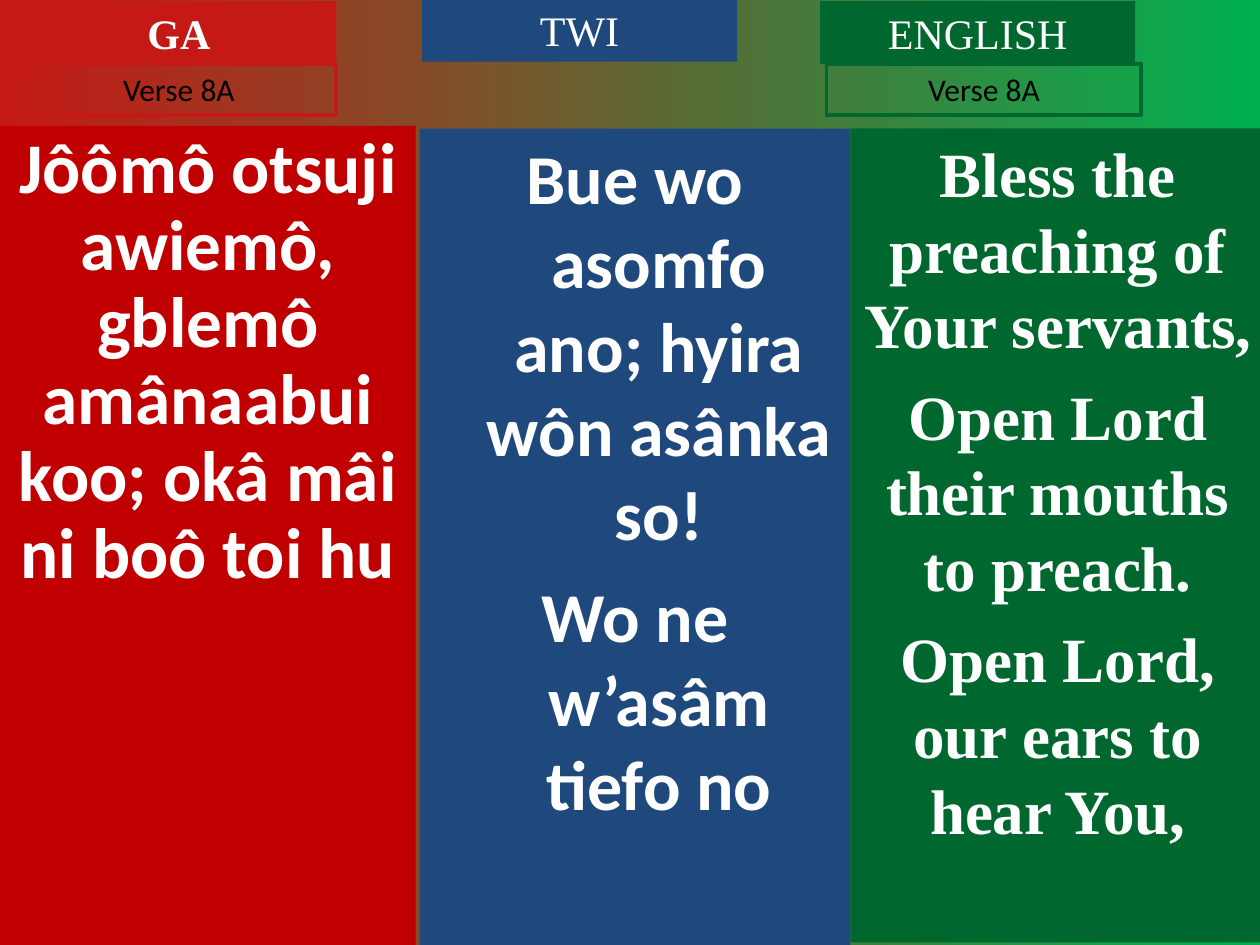
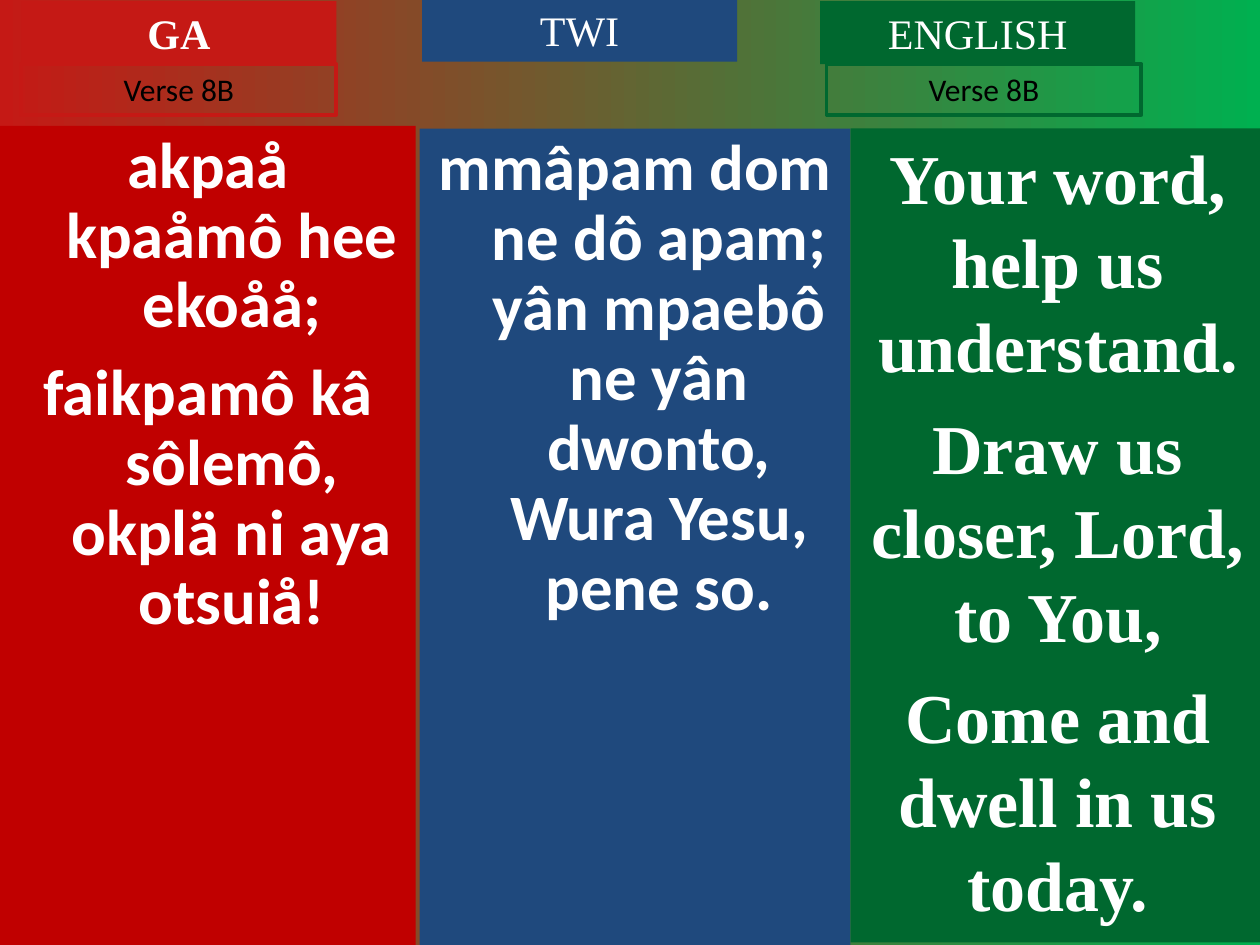
import pptx
import pptx.util
import pptx.dml.color
import pptx.enum.shapes
import pptx.enum.text

Inches, Pt = pptx.util.Inches, pptx.util.Pt
RGBColor = pptx.dml.color.RGBColor
AutoSize = pptx.enum.text.MSO_AUTO_SIZE

# Colours and fonts
BRIGHT_RED = RGBColor(0xC5, 0x19, 0x15)
BRIGHT_GREEN = RGBColor(0x00, 0xB0, 0x50)
RED = RGBColor(0xC0, 0x00, 0x00)
BLUE = RGBColor(0x1F, 0x49, 0x7D)
GREEN = RGBColor(0x00, 0x68, 0x2F)
WHITE = RGBColor(0xFF, 0xFF, 0xFF)
BLACK = RGBColor(0x00, 0x00, 0x00)
SANS, SERIF = "Calibri", "Times New Roman"
HANGING = 0.38

# Language columns: boxes are left, top, width, height in inches
COLUMNS = {
    "GA": {"panel": (0, 1, 3.3, 6.5), "fill": RED, "font": SANS,
           "title": (0.17, 0.01, 2.5, 0.5), "title_fill": BRIGHT_RED,
           "title_bold": True, "verse": (0.17, 0.51, 2.5, 0.4)},
    "TWI": {"panel": (3.33, 1.02, 3.42, 6.48), "fill": BLUE, "font": SANS,
            "title": (3.35, -0.01, 2.5, 0.5), "title_fill": BLUE,
            "title_bold": False, "verse": None},
    "ENGLISH": {"panel": (6.75, 1.02, 3.29, 6.46), "fill": GREEN, "font": SERIF,
                "title": (6.51, 0.01, 2.5, 0.5), "title_fill": GREEN,
                "title_bold": False, "verse": (6.56, 0.51, 2.5, 0.4)},
}

# Verses: each language has its lines, text size and paragraph layout
VERSES = [
    ("Verse 8A", {
        "GA": (["Jôômô otsuji awiemô, gblemô amânaabui koo; okâ mâi ni boô toi hu"],
               40.7, {"line_spacing": 0.9}),
        "TWI": (["Bue wo asomfo ano; hyira wôn asânka so!",
                 "Wo ne w’asâm tiefo no"],
                40, {"gap": 10, "hanging": HANGING}),
        "ENGLISH": (["Bless the preaching of Your servants,",
                     "Open Lord their mouths to preach.",
                     "Open Lord, our ears to hear You,"],
                    36, {"gap": 9}),
    }),
    ("Verse 8B", {
        "GA": (["akpaå kpaåmô hee ekoåå;",
                "faikpamô kâ sôlemô, okplä ni aya otsuiå!"],
               37, {"gap": 10, "hanging": HANGING, "line_spacing": 0.9}),
        "TWI": (["mmâpam dom ne dô apam; yân mpaebô ne yân dwonto, "
                 "Wura Yesu, pene so."],
                37, {"hanging": HANGING, "line_spacing": 0.9}),
        "ENGLISH": (["Your word, help us understand.",
                     "Draw us closer, Lord, to You,",
                     "Come and dwell in us today."],
                    40, {"gap": 10}),
    }),
]


def add_box(page, place, lines, font, fill=None, border=None,
            gap=0, hanging=0, line_spacing=None, auto_size=AutoSize.NONE):
    """Add a rectangle with centred paragraphs."""
    box = page.shapes.add_shape(pptx.enum.shapes.MSO_SHAPE.RECTANGLE,
                                *map(Inches, place))
    box.shadow.inherit = False
    if fill is None:
        box.fill.background()
    else:
        box.fill.solid()
        box.fill.fore_color.rgb = fill
    if border is None:
        box.line.fill.background()
    else:
        box.line.color.rgb = border
        box.line.width = Pt(2.25)

    frame = box.text_frame
    frame.word_wrap = True
    frame.auto_size = auto_size
    frame.vertical_anchor = pptx.enum.text.MSO_ANCHOR.TOP
    for index, line in enumerate(lines):
        para = frame.add_paragraph() if index else frame.paragraphs[0]
        para.alignment = pptx.enum.text.PP_ALIGN.CENTER
        para.space_before = Pt(gap if index else 0)
        if line_spacing:
            para.line_spacing = line_spacing
        if hanging:
            properties = para._p.get_or_add_pPr()
            properties.set("marL", str(Inches(hanging)))
            properties.set("indent", str(-Inches(hanging)))
        span = para.add_run()
        span.text = line
        for name, value in font.items():
            if name == "color":
                span.font.color.rgb = value
            else:
                setattr(span.font, name, value)


def paint_background(page):
    """Fill the page from red on the left to green on the right."""
    fill = page.background.fill
    fill.gradient()
    fill.gradient_angle = 0
    for stop, position, color in zip(fill.gradient_stops, (0, 1),
                                     (BRIGHT_RED, BRIGHT_GREEN)):
        stop.position = position
        stop.color.rgb = color


def add_verse_page(deck, verse, texts):
    page = deck.slides.add_slide(deck.slide_layouts[6])
    paint_background(page)
    for language, column in COLUMNS.items():
        # Words of the hymn
        lines, size, layout = texts[language]
        add_box(page, column["panel"], lines,
                {"name": column["font"], "size": Pt(size), "bold": True,
                 "color": WHITE},
                fill=column["fill"], **layout)
        # Language heading and verse label
        add_box(page, column["title"], [language],
                {"name": SERIF, "size": Pt(24), "bold": column["title_bold"],
                 "color": WHITE},
                fill=column["title_fill"], auto_size=AutoSize.SHAPE_TO_FIT_TEXT)
        if column["verse"]:
            add_box(page, column["verse"], [verse],
                    {"name": SANS, "size": Pt(18), "color": BLACK},
                    border=column["title_fill"],
                    auto_size=AutoSize.SHAPE_TO_FIT_TEXT)


def main():
    deck = pptx.Presentation()
    deck.slide_width, deck.slide_height = Inches(10), Inches(7.5)
    for verse, texts in VERSES:
        add_verse_page(deck, verse, texts)
    deck.save("out.pptx")


if __name__ == "__main__":
    main()
